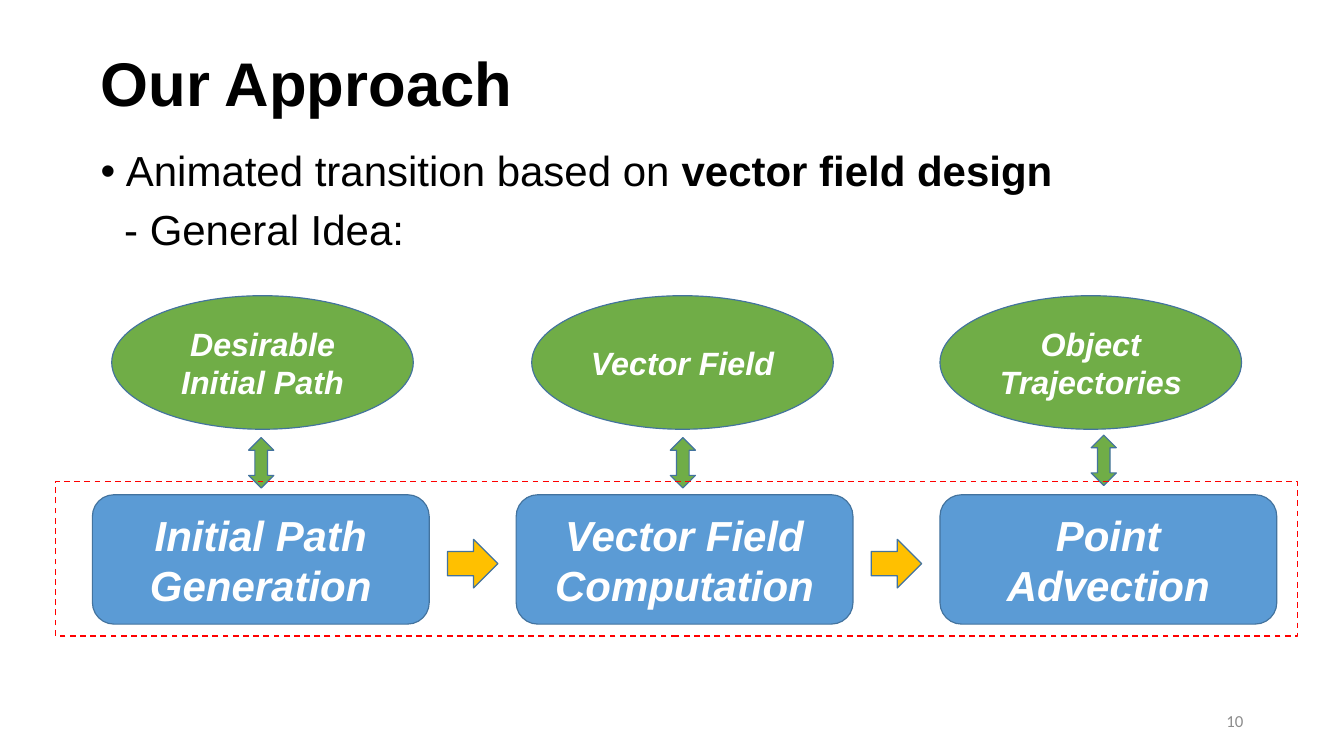
import pptx
import pptx.dml.color
import pptx.enum.dml
import pptx.enum.shapes
import pptx.enum.text
import pptx.util
from lxml import etree

Inches = pptx.util.Inches
Pt = pptx.util.Pt
RGBColor = pptx.dml.color.RGBColor
Kind = pptx.enum.shapes.MSO_SHAPE
Align = pptx.enum.text.PP_ALIGN
Anchor = pptx.enum.text.MSO_ANCHOR

BLACK = RGBColor(0, 0, 0)
WHITE = RGBColor(255, 255, 255)
GRAY = RGBColor(0x8C, 0x8C, 0x8C)
BLUE = RGBColor(0x5B, 0x9B, 0xD5)
NAVY = RGBColor(0x43, 0x73, 0x9E)
GREEN = RGBColor(0x70, 0xAD, 0x47)
GOLD = RGBColor(0xFF, 0xC0, 0)
RED = RGBColor(255, 0, 0)

TITLE = "Our Approach"
POINT = [("Animated transition based on ", False), ("vector field design", True)]
IDEA = "- General Idea:"
STEPS = ["Initial Path Generation", "Vector Field Computation", "Point Advection"]
GOALS = [
    ("Desirable Initial Path", 1.33, 2.96, 5.21),
    ("Vector Field", 6.33, 7.98, 5.21),
    ("Object Trajectories", 11.19, 12.99, 5.18),
]
PAGE = "10"

LEFT, PITCH = 1.1, 5.045
STEP_W, STEP_H, STEP_TOP = 4.01, 1.54, 5.89
NEXT_W, NEXT_H = 0.6, 0.58


def write(para, text, size=36, font="Arial", color=BLACK, bold=False,
          slant=False, align=Align.LEFT, space=None):
    para.alignment = align
    if space:
        para.line_spacing = space
    run = para.add_run()
    run.text = text
    run.font.size = Pt(size)
    run.font.name = font
    run.font.color.rgb = color
    run.font.bold = bold
    run.font.italic = slant


def frame(slide, box, anchor=Anchor.MIDDLE):
    text = slide.shapes.add_textbox(*map(Inches, box)).text_frame
    text.word_wrap = True
    text.vertical_anchor = anchor
    return text


def draw(slide, kind, box, fill=None, line=NAVY, width=1):
    shape = slide.shapes.add_shape(kind, *map(Inches, box))
    shape.shadow.inherit = False
    if fill is None:
        shape.fill.background()
    else:
        shape.fill.solid()
        shape.fill.fore_color.rgb = fill
    shape.line.color.rgb = line
    shape.line.width = Pt(width)
    return shape


def label(shape, text, size):
    body = shape.text_frame
    body.word_wrap = True
    body.vertical_anchor = Anchor.MIDDLE
    write(body.paragraphs[0], text, size=size, color=WHITE, bold=True,
          slant=True, align=Align.CENTER)


def indent(para, left, hang=0, mark=None):
    props = para._p.get_or_add_pPr()
    props.set("marL", str(Inches(left)))
    props.set("indent", str(Inches(-hang)))
    if mark:
        space = "{http://schemas.openxmlformats.org/drawingml/2006/main}"
        etree.SubElement(props, space + "buFont").set("typeface", "Arial")
        etree.SubElement(props, space + "buChar").set("char", mark)


def main():
    deck = pptx.Presentation()
    deck.slide_width, deck.slide_height = Inches(16), Inches(9)
    slide = deck.slides.add_slide(deck.slide_layouts[6])

    head = frame(slide, (LEFT, 0.16, 13.8, 1.74))
    write(head.paragraphs[0], TITLE, size=52.8, bold=True, space=0.9)

    body = frame(slide, (LEFT, 1.74, 14.35, 5.71), Anchor.TOP)
    first = body.paragraphs[0]
    indent(first, 0.3, 0.3, "•")
    for text, bold in POINT:
        write(first, text, bold=bold, space=0.9)
    idea = body.add_paragraph()
    indent(idea, 0.28)
    idea.space_before = Pt(12)
    write(idea, IDEA, space=0.9)

    gap = PITCH - STEP_W
    for i, text in enumerate(STEPS):
        left = LEFT + i * PITCH
        step = draw(slide, Kind.ROUNDED_RECTANGLE,
                    (left, STEP_TOP, STEP_W, STEP_H), BLUE)
        label(step, text, 36)
        if i < len(STEPS) - 1:
            mid = left + STEP_W + (gap - NEXT_W) / 2
            top = STEP_TOP + (STEP_H - NEXT_H) / 2 + 0.05
            draw(slide, Kind.RIGHT_ARROW, (mid, top, NEXT_W, NEXT_H), GOLD)

    for text, left, link, top in GOALS:
        goal = draw(slide, Kind.OVAL, (left, 3.52, 3.59, 1.59), GREEN)
        label(goal, text, 27.6)
        draw(slide, Kind.UP_DOWN_ARROW, (link, top, 0.3, 0.6), GREEN)

    edge = draw(slide, Kind.RECTANGLE, (0.66, 5.73, 14.79, 1.84),
                line=RED, width=1.25)
    edge.line.dash_style = pptx.enum.dml.MSO_LINE.DASH

    foot = frame(slide, (11.3, 8.34, 3.6, 0.48))
    write(foot.paragraphs[0], PAGE, size=14.4, font="Calibri", color=GRAY,
          align=Align.RIGHT)

    deck.save("out.pptx")


if __name__ == "__main__":
    main()
